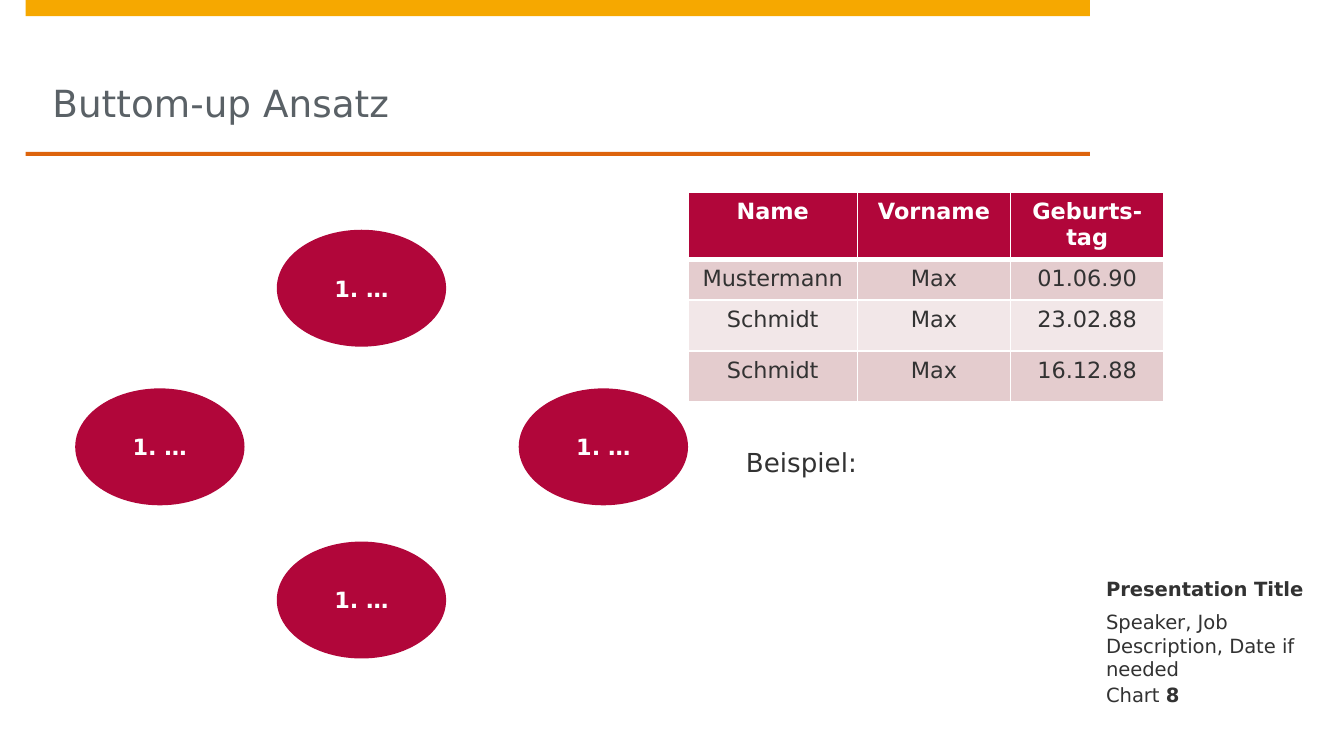
from dataclasses import dataclass
from lxml import etree
from pptx import Presentation
from pptx.dml.color import RGBColor
from pptx.enum import shapes, text
from pptx.oxml import ns
from pptx.util import Inches, Pt


@dataclass(frozen=True)
class Theme:
    font: str = "DejaVu Sans"
    gold: str = "F6A800"
    rust: str = "DD640C"
    red: str = "B1063A"
    rose: str = "E4CCCE"
    blush: str = "F2E7E8"
    white: str = "FFFFFF"
    ink: str = "323232"
    gray: str = "5A6166"
    title: float = 20
    body: float = 14
    label: float = 12
    foot: float = 10.5


T = Theme()
ALIGN = text.PP_ALIGN
ANCHOR = text.MSO_ANCHOR


def rgb(code):
    return RGBColor.from_string(code)


def write(frame, *runs, size=T.label, color=T.ink, bold=False,
          align=ALIGN.LEFT, gap=0):
    """Write one paragraph; a run is a string or a (string, bold) pair."""
    para = frame.paragraphs[0]
    para.alignment = align
    para.space_before = para.space_after = Pt(gap)
    for item in runs:
        words, heavy = item if isinstance(item, tuple) else (item, bold)
        run = para.add_run()
        run.text = words
        run.font.name = T.font
        run.font.size = Pt(size)
        run.font.bold = heavy
        run.font.color.rgb = rgb(color)


def inset(frame, left=0, top=0, right=0, bottom=0, anchor=ANCHOR.TOP):
    frame.word_wrap = True
    frame.vertical_anchor = anchor
    frame.margin_left, frame.margin_top = Inches(left), Inches(top)
    frame.margin_right, frame.margin_bottom = Inches(right), Inches(bottom)


def label(slide, box, *runs, pad=None, **form):
    frame = slide.shapes.add_textbox(*map(Inches, box)).text_frame
    inset(frame, **(pad or {}))
    write(frame, *runs, **form)


def solid(slide, kind, box, color):
    shape = slide.shapes.add_shape(kind, *map(Inches, box))
    shape.shadow.inherit = False
    shape.fill.solid()
    shape.fill.fore_color.rgb = rgb(color)
    shape.line.fill.background()
    return shape


def edge(cell, **widths):
    """Draw white cell borders; widths are in points, keyed by side."""
    props = cell._tc.get_or_add_tcPr()
    for spot, (side, width) in enumerate(widths.items()):
        line = etree.Element(ns.qn(f"a:ln{side}"), w=str(Pt(width)))
        fill = etree.SubElement(line, ns.qn("a:solidFill"))
        etree.SubElement(fill, ns.qn("a:srgbClr"), val=T.white)
        props.insert(spot, line)


def header(slide, x, y, w, h):
    rect = shapes.MSO_SHAPE.RECTANGLE
    solid(slide, rect, (x, y, w, 0.12), T.gold)
    solid(slide, rect, (x, y + h, w, 0.03), T.rust)
    label(slide, (x + 0.2, y + 0.12, w - 0.4, h - 0.12), "Buttom-up Ansatz",
          pad=dict(bottom=0.2, anchor=ANCHOR.BOTTOM),
          size=T.title, color=T.gray)


def cycle(slide, x, y, w, h):
    wide, high = 1.26, 0.87
    mid, low = x + 1.5, y + 1.18
    spots = [(mid, y), (x + w - wide, low), (mid, y + h - high), (x, low)]
    for left, top in spots:
        oval = solid(slide, shapes.MSO_SHAPE.OVAL,
                     (left, top, wide, high), T.red)
        inset(oval.text_frame, 0.12, 0.08, 0.12, 0.08, ANCHOR.MIDDLE)
        write(oval.text_frame, "1. …", color=T.white, bold=True,
              align=ALIGN.CENTER, gap=3)


def people(slide, x, y, w, h):
    rows = [("Name", "Vorname", "Geburts-tag"),
            ("Mustermann", "Max", "01.06.90"),
            ("Schmidt", "Max", "23.02.88"),
            ("Schmidt", "Max", "16.12.88")]
    grid = slide.shapes.add_table(len(rows), len(rows[0]),
                                  *map(Inches, (x, y, w, h))).table
    for col, wide in zip(grid.columns, (1.26, 1.14, 1.14)):
        col.width = Inches(wide)
    for row, high in zip(grid.rows, (0.38, 0.28, 0.38, 0.38)):
        row.height = Inches(high)
    for r, row in enumerate(rows):
        head = r == 0
        tint = T.red if head else (T.blush, T.rose)[r % 2]
        for c, words in enumerate(row):
            cell = grid.cell(r, c)
            cell.fill.solid()
            cell.fill.fore_color.rgb = rgb(tint)
            edge(cell, L=1, R=1, T=3 if r == 1 else 1, B=3 if head else 1)
            write(cell.text_frame, words, bold=head,
                  color=T.white if head else T.ink, align=ALIGN.CENTER)


def footer(slide, x, y, w):
    side = dict(left=0.12)
    base = dict(left=0.12, anchor=ANCHOR.BOTTOM)
    lines = [(0, 0.57, base, [("Presentation Title", True)]),
             (0.64, 0.51, side, ["Speaker, Job Description, Date if needed"]),
             (1.16, 0.2, base, ["Chart ", ("8", True)])]
    for drop, high, pad, runs in lines:
        label(slide, (x, y + drop, w, high), *runs, pad=pad, size=T.foot)


def main():
    deck = Presentation()
    # Widescreen, 16 to 9
    deck.slide_width = Inches(10)
    deck.slide_height = deck.slide_width * 9 // 16
    slide = deck.slides.add_slide(deck.slide_layouts[6])
    # Title band
    header(slide, 0.19, 0, 7.92, 1.13)
    # Example caption
    label(slide, (5.55, 3.32, 2.36, 1.93), "Beispiel:", size=T.body, gap=3)
    # Speaker details
    footer(slide, 8.11, 3.9, 1.69)
    # Ring of steps
    cycle(slide, 0.56, 1.71, 4.56, 3.19)
    # Table of people
    people(slide, 5.12, 1.43, 3.54, 1.42)
    deck.save("out.pptx")


main()
